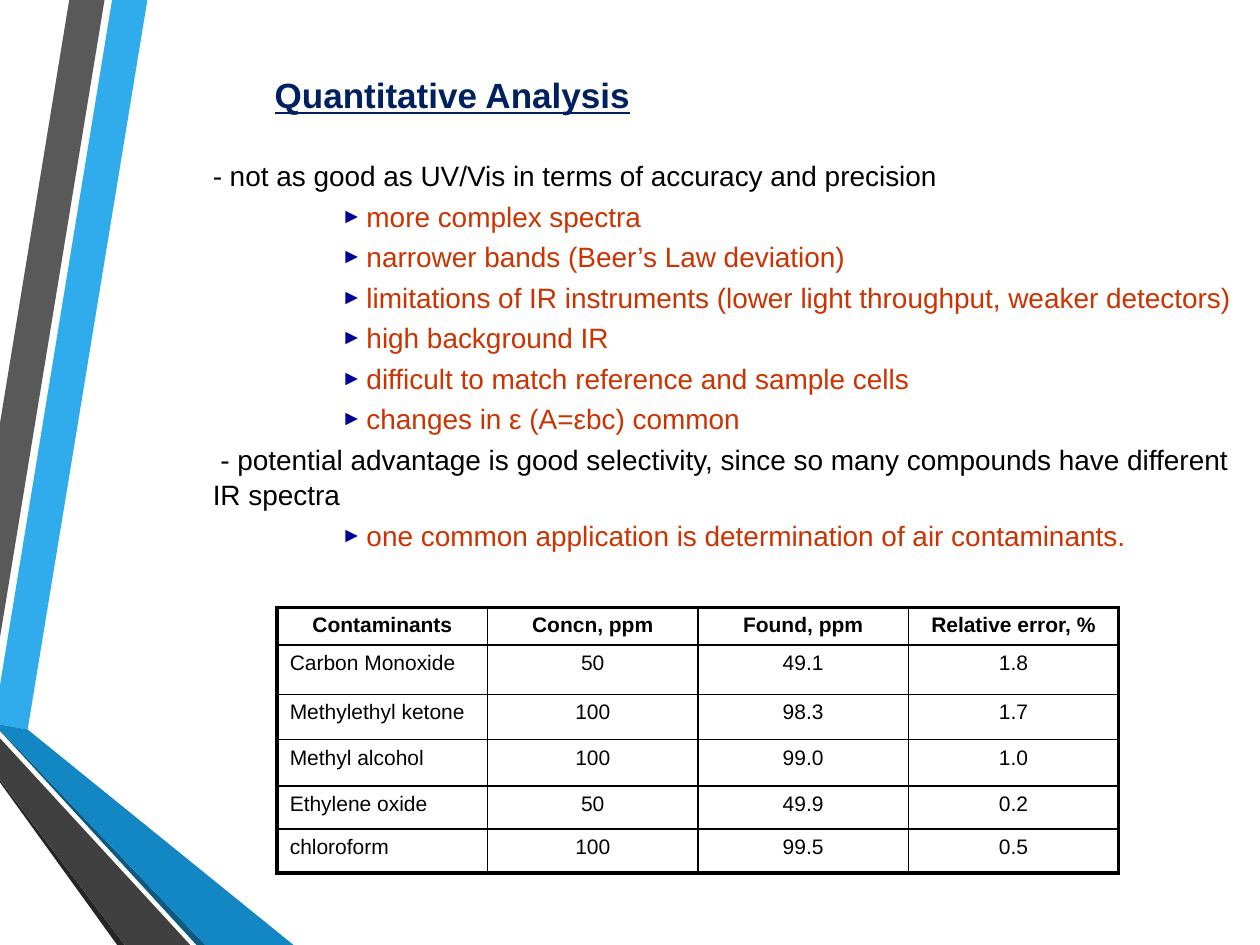
from dataclasses import dataclass

from lxml.etree import SubElement
from pptx import Presentation
from pptx.dml.color import RGBColor
from pptx.enum.text import MSO_ANCHOR, MSO_AUTO_SIZE, PP_ALIGN
from pptx.oxml.ns import qn
from pptx.util import Inches, Pt

FONT = "Arial"
COLORS = {
    "sky": "30ACEC", "blue": "1287C3", "deep_blue": "0C5A82",
    "gray": "595959", "dark_gray": "404040", "charcoal": "262626",
    "title": "002060", "bullet": "000099", "detail": "CC3300",
    "black": "000000", "white": "FFFFFF",
}


@dataclass
class Ribbon:
    color: str
    points: list[tuple[float, float]]


@dataclass
class Line:
    text: str
    bulleted: bool = True
    first_indent: float = 0


RIBBONS = [
    Ribbon("sky", [(0, 5.44), (0, 5.75), (0.22, 5.79), (1.17, 0), (0.89, 0)]),
    Ribbon("gray", [(0.83, 0), (0.55, 0), (0, 3.36), (0, 5.06)]),
    Ribbon("charcoal", [(0, 6.19), (0, 6.21), (0.93, 7.5), (0.99, 7.5)]),
    Ribbon("deep_blue", [(0, 5.79), (0, 5.8), (1.56, 7.5), (1.63, 7.5)]),
    Ribbon("blue", [(0, 5.79), (1.63, 7.5), (2.33, 7.5), (0.22, 5.79), (0, 5.75)]),
    Ribbon("dark_gray", [(0, 6.19), (0.99, 7.5), (1.51, 7.5), (0, 5.86)]),
]

LINES = [
    Line("- not as good as UV/Vis in terms of accuracy and precision", False),
    Line("more complex spectra"),
    Line("narrower bands (Beer’s Law deviation)"),
    Line("limitations of IR instruments (lower light throughput, weaker detectors)"),
    Line("high background IR"),
    Line("difficult to match reference and sample cells"),
    Line("changes in ε (A=εbc) common"),
    Line("- potential advantage is good selectivity, since so many compounds "
         "have different IR spectra", False, 0.06),
    Line("one common application is determination of air contaminants."),
]

TABLE_ROWS = [
    ("Contaminants", "Concn, ppm", "Found, ppm", "Relative error, %"),
    ("Carbon Monoxide", "50", "49.1", "1.8"),
    ("Methylethyl ketone", "100", "98.3", "1.7"),
    ("Methyl alcohol", "100", "99.0", "1.0"),
    ("Ethylene oxide", "50", "49.9", "0.2"),
    ("chloroform", "100", "99.5", "0.5"),
]
ROW_HEIGHTS = [0.3, 0.39, 0.36, 0.37, 0.34, 0.35]
COLUMN_WIDTH = 1.67


def rgb(name: str) -> RGBColor:
    return RGBColor.from_string(COLORS[name])


def format_runs(paragraph, size: float, color: str, bold: bool = False,
                underline: bool = False) -> None:
    for run in paragraph.runs:
        run.font.name = FONT
        run.font.size = Pt(size)
        run.font.bold = bold
        run.font.underline = underline
        run.font.color.rgb = rgb(color)


def draw_ribbon(slide, ribbon: Ribbon) -> None:
    start, *rest = [(Inches(x), Inches(y)) for x, y in ribbon.points]
    builder = slide.shapes.build_freeform(*start, scale=1.0)
    builder.add_line_segments(rest, close=True)
    shape = builder.convert_to_shape()
    shape.shadow.inherit = False
    shape.fill.solid()
    shape.fill.fore_color.rgb = rgb(ribbon.color)
    shape.line.fill.background()


def draw_title(slide, text: str) -> None:
    title = slide.shapes.title
    title.left, title.top = Inches(2.08), Inches(0.52)
    title.width, title.height = Inches(7.92), Inches(0.45)
    frame = title.text_frame
    frame.text = text
    frame.auto_size = MSO_AUTO_SIZE.NONE
    frame.vertical_anchor = MSO_ANCHOR.TOP
    paragraph = frame.paragraphs[0]
    paragraph.alignment = PP_ALIGN.LEFT
    paragraph.line_spacing = 1.05
    format_runs(paragraph, 20, "title", bold=True, underline=True)


def set_indent(paragraph, left: float, first: float) -> None:
    properties = paragraph._p.get_or_add_pPr()
    properties.set("marL", str(Inches(left)))
    properties.set("indent", str(Inches(first)))


def add_bullet(paragraph) -> None:
    properties = paragraph._p.get_or_add_pPr()
    color = SubElement(properties, qn("a:buClr"))
    SubElement(color, qn("a:srgbClr"), val=COLORS["bullet"])
    SubElement(properties, qn("a:buSzPct"), val="75000")
    SubElement(properties, qn("a:buFont"), typeface=FONT)
    SubElement(properties, qn("a:buChar"), char="►")


def draw_body(slide, lines: list[Line]) -> None:
    box = slide.shapes.add_textbox(Inches(0.59), Inches(1.2), Inches(9.41), Inches(3.14))
    frame = box.text_frame
    frame.word_wrap = True
    frame.text = "\n".join(line.text for line in lines)
    for paragraph, line in zip(frame.paragraphs, lines):
        paragraph.line_spacing = 1.05
        paragraph.space_after = Pt(3)
        if line.bulleted:
            set_indent(paragraph, 2.22, -0.2)
            add_bullet(paragraph)
        else:
            set_indent(paragraph, 1, line.first_indent)
        format_runs(paragraph, 16, "detail" if line.bulleted else "black")


def set_borders(cell, outer_sides: dict[str, bool]) -> None:
    properties = cell._tc.get_or_add_tcPr()
    for position, (side, outer) in enumerate(outer_sides.items()):
        border = SubElement(properties, qn(f"a:{side}"), w=str(Pt(2.25 if outer else 1)))
        fill = SubElement(border, qn("a:solidFill"))
        SubElement(fill, qn("a:srgbClr"), val=COLORS["black"])
        properties.insert(position, border)  # borders precede the cell fill


def draw_table(slide, rows: list[tuple[str, ...]]) -> None:
    column_count = len(rows[0])
    table = slide.shapes.add_table(
        len(rows), column_count, Inches(2.2), Inches(4.82),
        Inches(COLUMN_WIDTH * column_count), Inches(sum(ROW_HEIGHTS))).table
    table.first_row = table.horz_banding = False
    for column in table.columns:
        column.width = Inches(COLUMN_WIDTH)
    for row_index, values in enumerate(rows):
        table.rows[row_index].height = Inches(ROW_HEIGHTS[row_index])
        for column_index, value in enumerate(values):
            cell = table.cell(row_index, column_index)
            cell.text_frame.text = value
            cell.fill.solid()
            cell.fill.fore_color.rgb = rgb("white")
            is_label = row_index > 0 and column_index == 0
            paragraph = cell.text_frame.paragraphs[0]
            paragraph.alignment = PP_ALIGN.LEFT if is_label else PP_ALIGN.CENTER
            format_runs(paragraph, 12, "black", bold=row_index == 0)
            set_borders(cell, {
                "lnL": column_index == 0,
                "lnR": column_index == column_count - 1,
                "lnT": row_index == 0,
                "lnB": row_index == len(rows) - 1,
            })


def main() -> None:
    presentation = Presentation()
    presentation.slide_width, presentation.slide_height = Inches(10), Inches(7.5)
    slide = presentation.slides.add_slide(presentation.slide_layouts[5])

    # Decorative ribbons along the left edge
    for ribbon in RIBBONS:
        draw_ribbon(slide, ribbon)

    # Heading, points and results
    draw_title(slide, "Quantitative Analysis")
    draw_body(slide, LINES)
    draw_table(slide, TABLE_ROWS)
    presentation.save("out.pptx")


if __name__ == "__main__":
    main()
